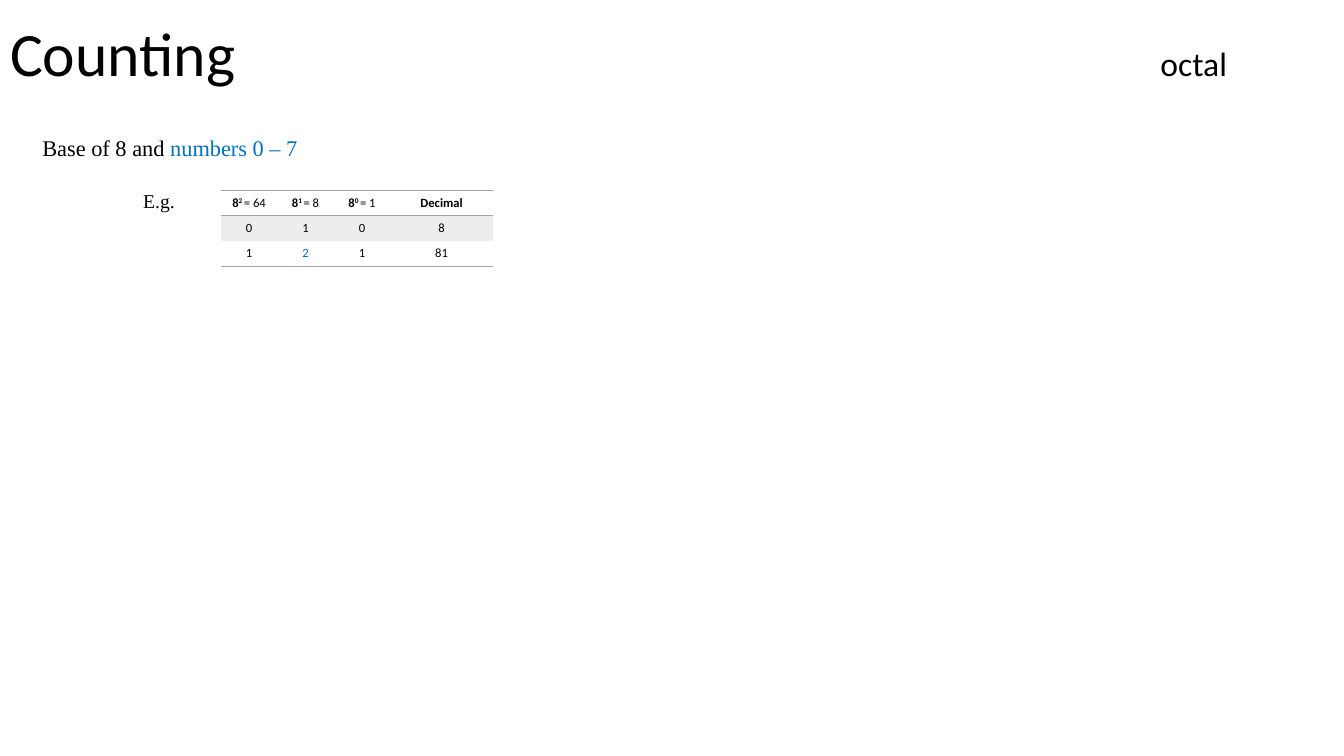
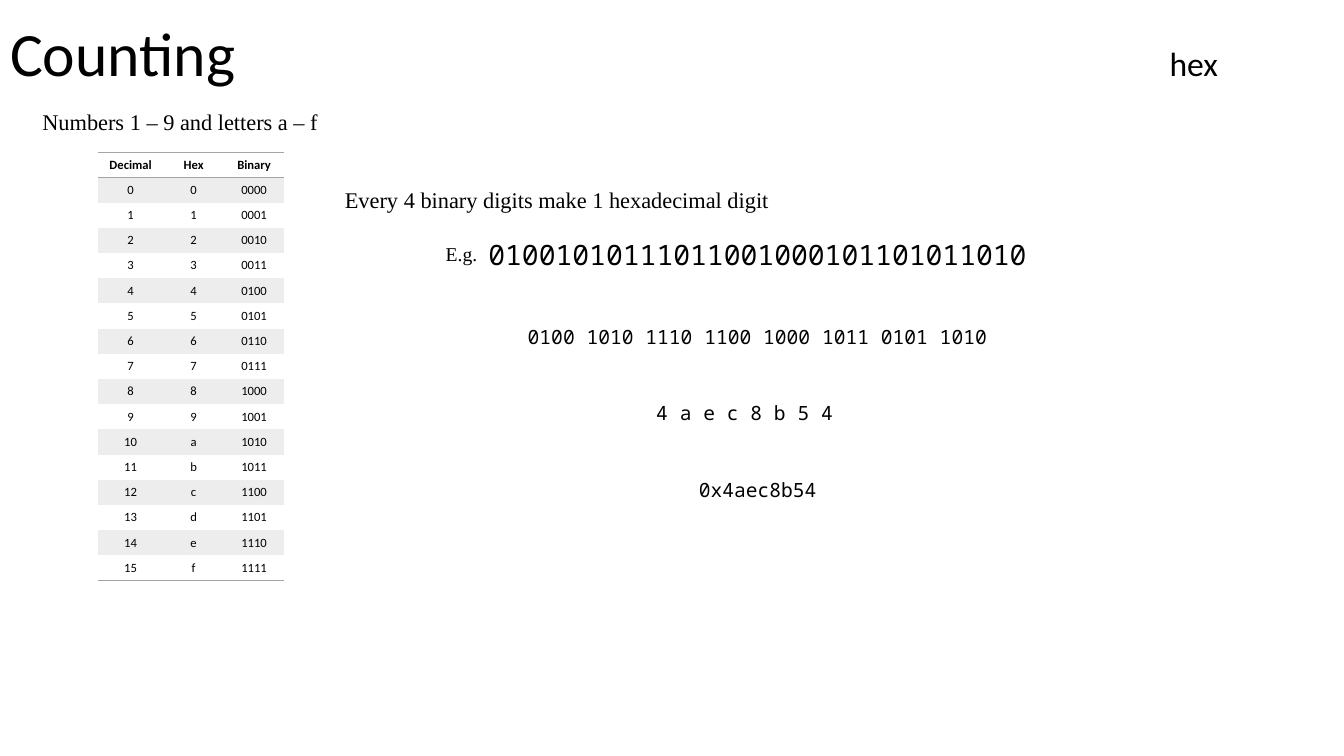
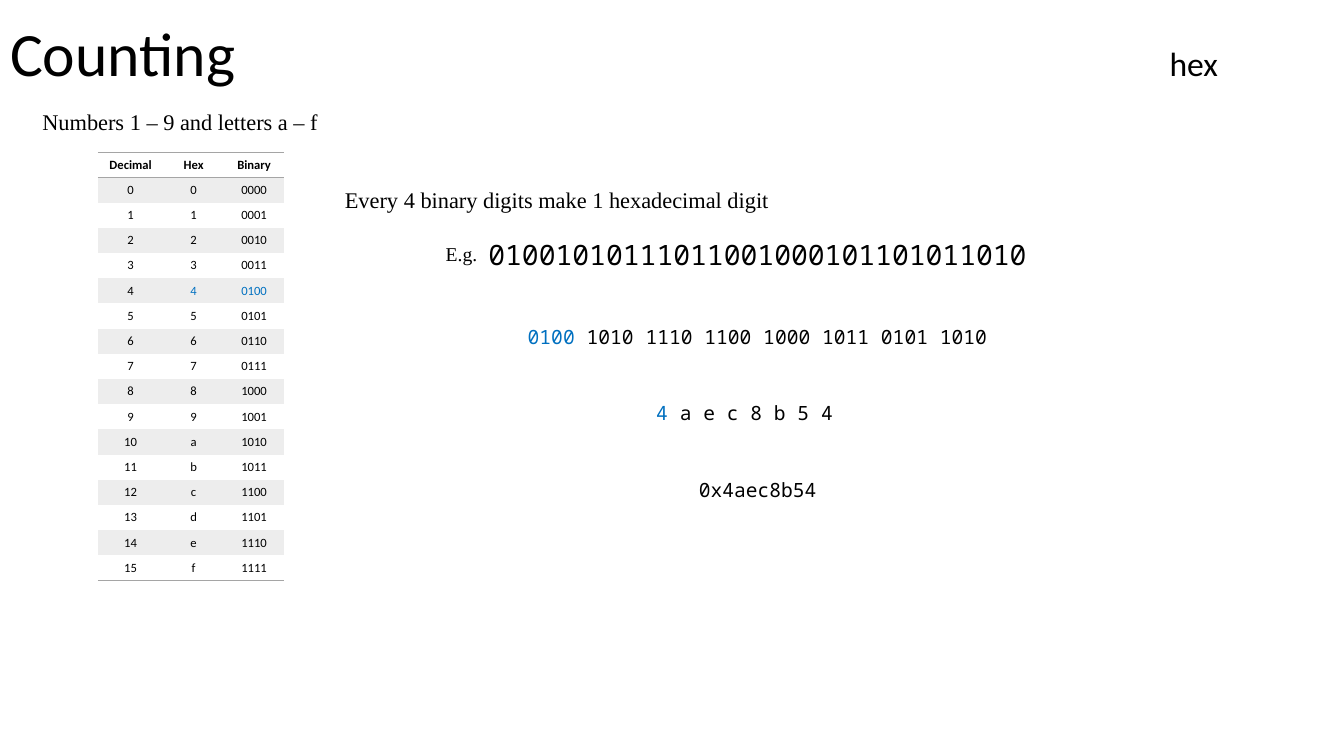
from dataclasses import dataclass

from lxml.etree import SubElement
from pptx import Presentation
from pptx.dml.color import RGBColor
from pptx.enum.text import MSO_ANCHOR, MSO_AUTO_SIZE, PP_ALIGN
from pptx.oxml.ns import qn
from pptx.util import Inches, Pt

# Shared style
BLACK = RGBColor(0x00, 0x00, 0x00)
BLUE = RGBColor(0x00, 0x70, 0xC0)
RULE_GRAY = RGBColor(0xA5, 0xA5, 0xA5)
BAND_GRAY = RGBColor(0xED, 0xED, 0xED)
SANS, SERIF, MONO = "Calibri", "Times New Roman", "Noto Sans Mono"
PLAIN_TABLE_STYLE = "{2D5ABB26-0587-4C30-8999-92F81FD0307C}"
ROW_HEIGHT = 0.25


@dataclass
class Run:
    text: str
    size: int = 0
    color: RGBColor = None
    bold: bool = False
    raised: bool = False


def set_text(p, runs, size, font):
    """Fill a paragraph; each run adds only what differs."""
    p.font.size, p.font.name = Pt(size), font
    p.font.color.rgb = BLACK
    for run in [Run(runs)] if isinstance(runs, str) else runs:
        r = p.add_run()
        r.text = run.text
        if run.size:
            r.font.size = Pt(run.size)
        if run.color is not None:
            r.font.color.rgb = run.color
        if run.bold:
            r.font.bold = True
        if run.raised:
            r.font._element.set("baseline", "30000")


def set_indent(p, left):
    pPr = p._p.get_or_add_pPr()
    pPr.set("marL", str(Inches(left)))
    pPr.set("indent", "0")
    return pPr


def place(shape, left, top, width, height):
    shape.left, shape.top = Inches(left), Inches(top)
    shape.width, shape.height = Inches(width), Inches(height)


def paragraphs(tf, count):
    return [tf.paragraphs[0]] + [tf.add_paragraph() for _ in range(count - 1)]


def add_slide(prs, topic, body_top, lines):
    """Title with the topic at the right, and indented body lines.

    Each line is (runs, size, indent, space before).
    """
    s = prs.slides.add_slide(prs.slide_layouts[1])
    title, body = s.placeholders

    # Title
    place(title, 0, 0, 13.33, 1.13)
    tf = title.text_frame
    tf.auto_size = MSO_AUTO_SIZE.NONE
    tf.vertical_anchor = MSO_ANCHOR.MIDDLE
    p = tf.paragraphs[0]
    p.alignment, p.line_spacing = PP_ALIGN.LEFT, 0.9
    tabs = SubElement(p._p.get_or_add_pPr(), qn("a:tabLst"))
    SubElement(tabs, qn("a:tab"), pos=str(Inches(11.74)), algn="ctr")
    set_text(p, [Run("Counting\t"), Run(topic, size=24)], 44, SANS)

    # Body
    place(body, 0.32, body_top, 12.79, 1.8)
    tf = body.text_frame
    tf.auto_size = MSO_AUTO_SIZE.NONE
    for p, (runs, size, indent, before) in zip(paragraphs(tf, len(lines)), lines):
        SubElement(set_indent(p, indent), qn("a:buNone"))
        p.space_before = Pt(before)
        set_text(p, runs, size, SERIF)
    return s


def add_rule(cell, side):
    """Draw a thin gray border on one side ('T' or 'B') of a cell."""
    ln = SubElement(cell._tc.get_or_add_tcPr(), qn(f"a:ln{side}"), w=str(Pt(1)))
    fill = SubElement(ln, qn("a:solidFill"))
    SubElement(fill, qn("a:srgbClr"), val=str(RULE_GRAY))


def add_banded_table(s, left, top, widths, rows):
    frame = s.shapes.add_table(len(rows), len(widths), Inches(left), Inches(top),
                               Inches(sum(widths)), Inches(ROW_HEIGHT * len(rows)))
    table = frame.table
    table.horz_banding = False
    table._tbl.tblPr.find(qn("a:tableStyleId")).text = PLAIN_TABLE_STYLE
    for column, width in zip(table.columns, widths):
        column.width = Inches(width)
    for i, row in enumerate(rows):
        table.rows[i].height = Inches(ROW_HEIGHT)
        for cell, runs in zip(table.rows[i].cells, row):
            cell.margin_top = cell.margin_bottom = Inches(0.03)
            cell.vertical_anchor = MSO_ANCHOR.MIDDLE
            if i == 0:
                add_rule(cell, "T")
            if i in (0, len(rows) - 1):
                add_rule(cell, "B")
            if i % 2:
                cell.fill.solid()
                cell.fill.fore_color.rgb = BAND_GRAY
            else:
                cell.fill.background()
            p = cell.text_frame.paragraphs[0]
            p.alignment = PP_ALIGN.CENTER
            set_text(p, runs, 9, SANS)


def add_conversion(s, mark):
    """Binary string, its groups of four, the hex digits and the result."""
    box = s.shapes.add_textbox(Inches(4.72), Inches(2.31), Inches(5.59), Inches(2.56))
    tf = box.text_frame
    tf.word_wrap = True
    steps = [
        "01001010111011001000101101011010",
        [Run("0100", color=mark), Run(" 1010 1110 1100 1000 1011 0101 1010")],
        [Run("4", color=mark), Run(" a e c 8 b 5 4")],
        "0x4aec8b54",
    ]
    for i, (p, runs) in enumerate(zip(paragraphs(tf, len(steps)), steps)):
        p.alignment = PP_ALIGN.CENTER
        if i == 2:  # the digit row sits left of centre
            p.alignment = PP_ALIGN.LEFT
            set_indent(p, 1.69)
        if i:
            p.space_before = Pt(38)
        set_text(p, runs, 14 if i else 20, MONO)


def add_octal_slide(prs):
    s = add_slide(prs, "octal", 1.28, [
        ([Run("Base of 8 and "), Run("numbers 0 – 7", color=BLUE)], 16, 0, 0),
        ("E.g.", 14, 1, 20),
    ])
    header = [[Run("8", bold=True), Run(f"{n} ", bold=True, raised=True),
               Run(f"= {8 ** n}")] for n in (2, 1, 0)]
    add_banded_table(s, 2.19, 1.89, [0.56, 0.56, 0.56, 1.02], [
        header + [[Run("Decimal", bold=True)]],
        ["0", "1", "0", "8"],
        ["1", [Run("2", color=BLUE)], "1", "81"],
    ])


def add_hex_slide(prs, mark=None):
    """Hex slide; mark colours the digit 4 and its binary form."""
    s = add_slide(prs, "hex", 1.02, [
        ("Numbers 1 – 9 and letters a – f", 16, 0, 0),
        ("Every 4 binary digits make 1 hexadecimal digit", 16, 3, 37),
        ("E.g.", 14, 4, 20),
    ])
    rows = [[[Run(name, bold=True)] for name in ("Decimal", "Hex", "Binary")]]
    for n in range(16):
        color = mark if n == 4 else None
        rows.append([str(n), [Run(f"{n:x}", color=color)],
                     [Run(f"{n:04b}", color=color)]])
    add_banded_table(s, 0.97, 1.51, [0.65, 0.6, 0.6], rows)
    add_conversion(s, mark)


def main():
    prs = Presentation()
    prs.slide_width, prs.slide_height = Inches(13.33), Inches(7.5)
    add_octal_slide(prs)
    add_hex_slide(prs)
    add_hex_slide(prs, mark=BLUE)
    prs.save("out.pptx")


if __name__ == "__main__":
    main()
